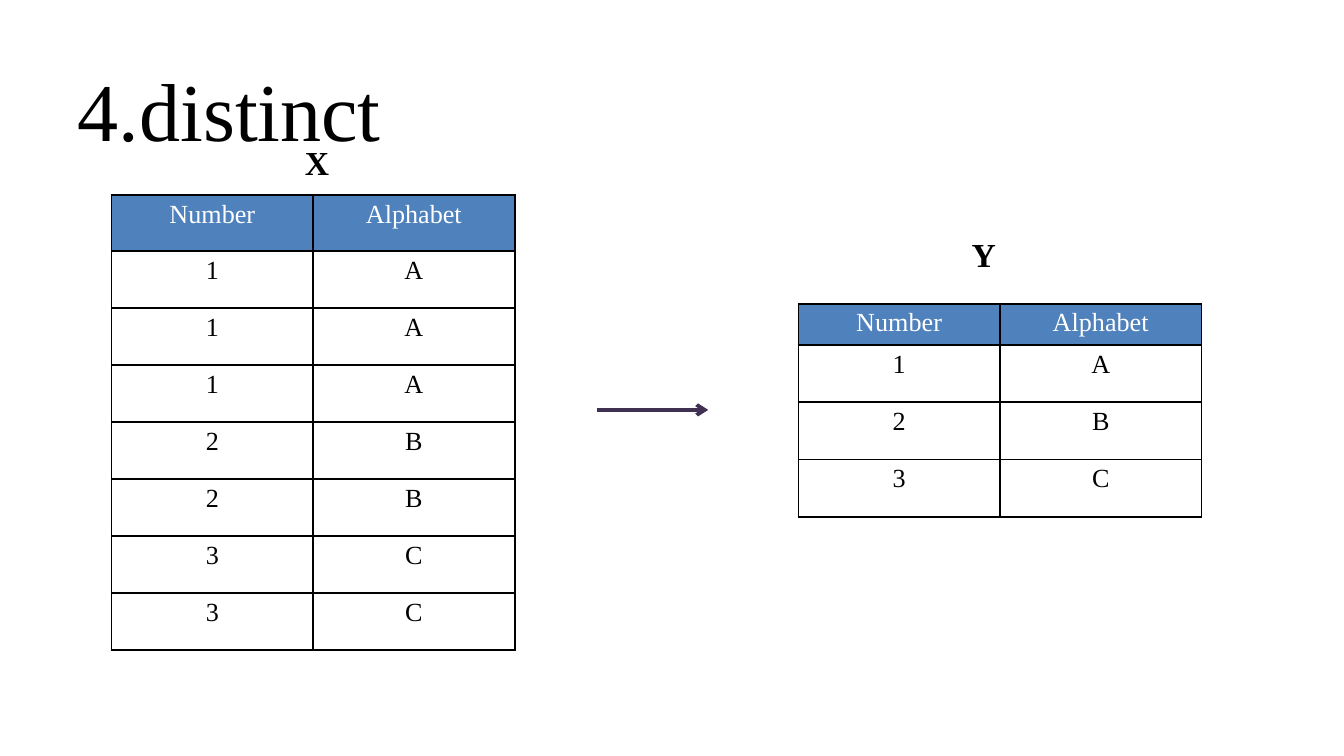
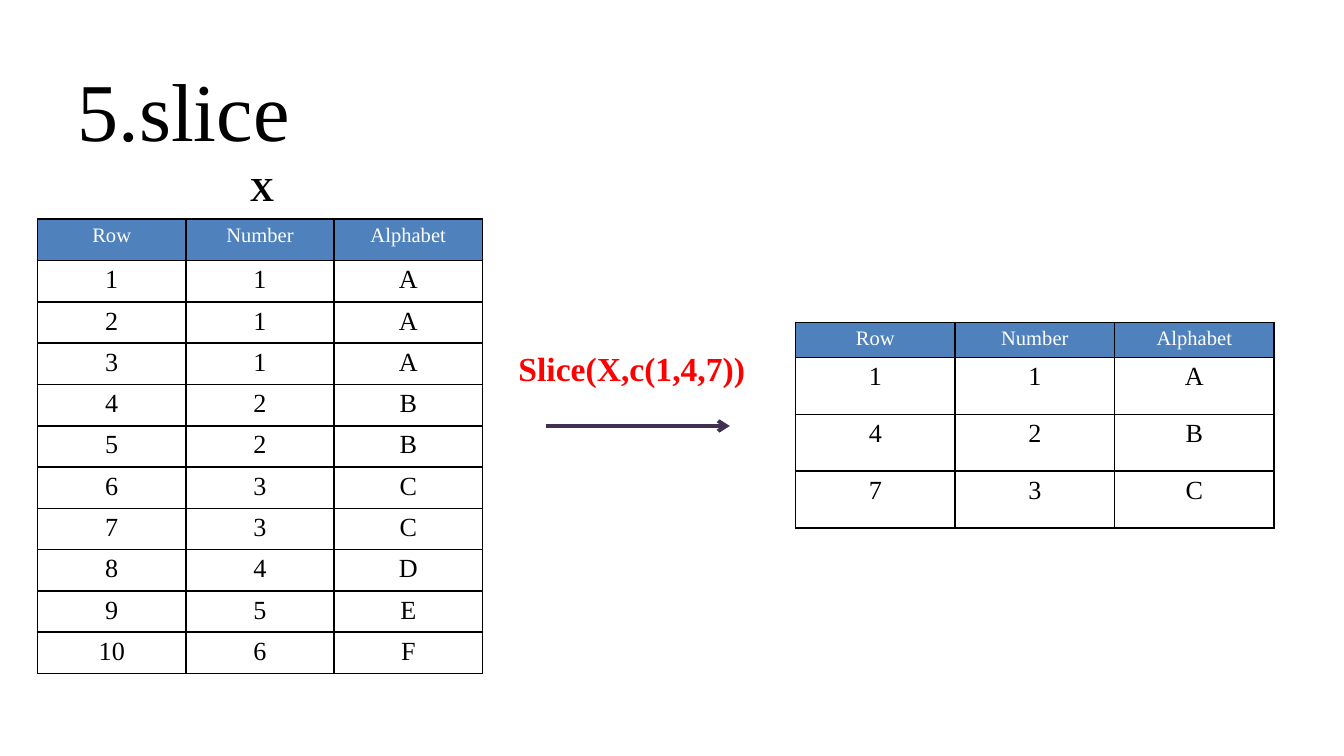
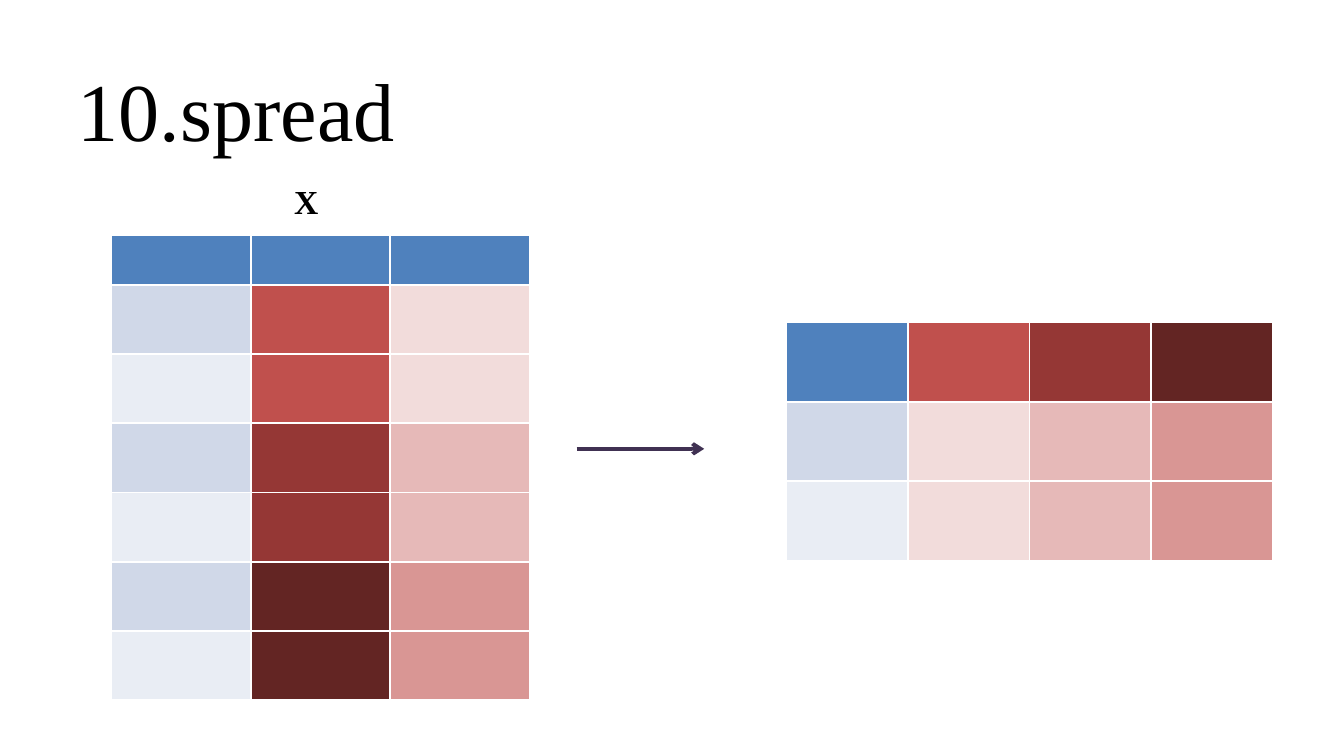
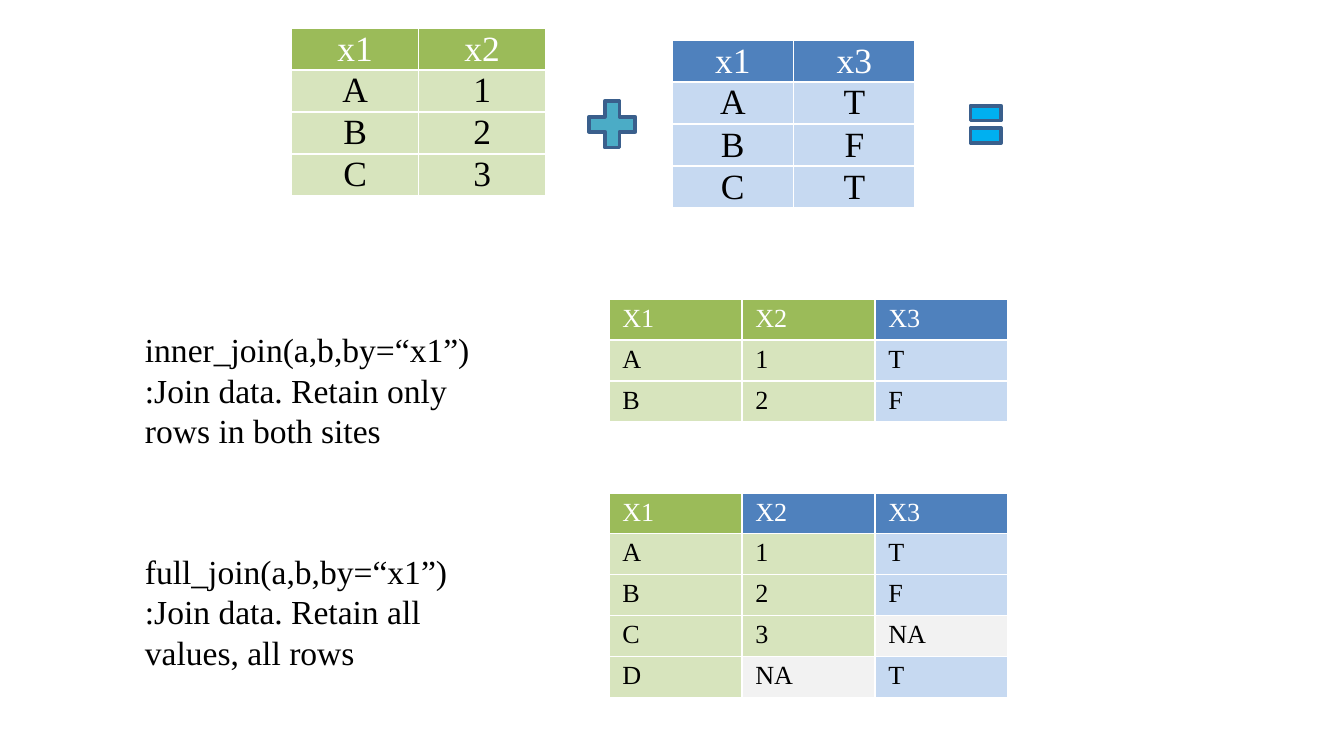
from dataclasses import dataclass

from lxml.etree import SubElement
from pptx import Presentation
from pptx.dml.color import RGBColor
from pptx.enum.shapes import MSO_CONNECTOR, MSO_SHAPE
from pptx.enum.text import MSO_ANCHOR as Anchor, PP_ALIGN as Align
from pptx.oxml.ns import qn
from pptx.util import Inches, Pt

FONT = "Times New Roman"
CELL_INSET = 0.11 / 3
COLOURS = {
    "black": "000000", "white": "FFFFFF", "red": "FF0000", "arrow": "403152",
    "blue": "4F81BD", "sky": "C6D9F1", "band1": "D0D8E8", "band2": "E9EDF4",
    "green": "9BBB59", "lime": "D7E4BD", "missing": "F2F2F2",
    "red1": "C0504D", "red2": "953735", "red3": "632523",
    "pink1": "F2DCDB", "pink2": "E6B9B8", "pink3": "D99694",
    "plus": "4BACC6", "equal": "00B0F0", "outline": "3A5F8C",
}


@dataclass
class Grid:
    """A table; each string in rows and fills lists one row, split at spaces."""
    left: float
    top: float
    width: float
    height: float
    header_height: float
    fills: list[str]
    rows: list[str] | None = None
    header_size: int = 14
    size: int = 14
    border: str = "white"
    align: Align = Align.CENTER
    anchor: Anchor = Anchor.TOP
    inset: float = CELL_INSET


@dataclass
class Label:
    left: float
    top: float
    width: float
    height: float
    lines: list[str]
    size: int = 18
    colour: str = "black"
    bold: bool = True
    align: Align = Align.LEFT


@dataclass
class Arrow:
    start: float
    end: float
    top: float


@dataclass
class Sign:
    kind: MSO_SHAPE
    left: float
    width: float
    fill: str


def rgb(name: str) -> RGBColor:
    return RGBColor.from_string(COLOURS[name])


def style_runs(para, size: int, colour: str, bold: bool = False) -> None:
    for run in para.runs:
        run.font.name = FONT
        run.font.size = Pt(size)
        run.font.bold = bold
        run.font.color.rgb = rgb(colour)


def add_borders(cell, colour: str) -> None:
    properties = cell._tc.get_or_add_tcPr()
    for side in "LRTB":
        line = SubElement(properties, qn(f"a:ln{side}"), w=str(Pt(1)))
        solid = SubElement(line, qn("a:solidFill"))
        SubElement(solid, qn("a:srgbClr"), val=COLOURS[colour])


def add_grid(page, grid: Grid) -> None:
    fills = [row.split() for row in grid.fills]
    row_count, column_count = len(fills), len(fills[0])
    table = page.shapes.add_table(
        row_count, column_count, Inches(grid.left), Inches(grid.top),
        Inches(grid.width), Inches(grid.height)).table
    table.first_row = table.horz_banding = False
    for column in table.columns:
        column.width = Inches(grid.width / column_count)
    body_height = (grid.height - grid.header_height) / (row_count - 1)
    for r, row in enumerate(table.rows):
        is_header = r == 0
        row.height = Inches(grid.header_height if is_header else body_height)
        words = grid.rows[r].split() if grid.rows else []
        for c, cell in enumerate(row.cells):
            add_borders(cell, grid.border)
            if fills[r][c] == "none":
                cell.fill.background()
            else:
                cell.fill.solid()
                cell.fill.fore_color.rgb = rgb(fills[r][c])
            cell.margin_top = cell.margin_bottom = Inches(grid.inset)
            cell.vertical_anchor = grid.anchor
            if words:
                cell.text_frame.text = words[c]
                para = cell.text_frame.paragraphs[0]
                para.alignment = grid.align
                style_runs(para, grid.header_size if is_header else grid.size,
                           "white" if is_header else "black")


def add_label(page, label: Label) -> None:
    box = page.shapes.add_textbox(Inches(label.left), Inches(label.top),
                                  Inches(label.width), Inches(label.height))
    frame = box.text_frame
    frame.word_wrap = True
    frame.text = "\n".join(label.lines)
    for para in frame.paragraphs:
        para.alignment = label.align
        style_runs(para, label.size, label.colour, label.bold)


def add_arrow(page, arrow: Arrow) -> None:
    connector = page.shapes.add_connector(
        MSO_CONNECTOR.STRAIGHT, Inches(arrow.start), Inches(arrow.top),
        Inches(arrow.end), Inches(arrow.top))
    connector.line.color.rgb = rgb("arrow")
    connector.line.width = Pt(2)
    SubElement(connector.line._get_or_add_ln(), qn("a:tailEnd"), type="arrow")
    SubElement(connector._element.spPr, qn("a:effectLst"))


def add_sign(page, sign: Sign) -> None:
    shape = page.shapes.add_shape(sign.kind, Inches(sign.left), Inches(0.69),
                                  Inches(sign.width), Inches(0.47))
    shape.shadow.inherit = False
    shape.fill.solid()
    shape.fill.fore_color.rgb = rgb(sign.fill)
    shape.line.color.rgb = rgb("outline")
    shape.line.width = Pt(2)


def title(text: str) -> Label:
    return Label(0.48, 0.39, 9, 0.71, [text], size=44, bold=False)


def data_grid(left: float, top: float, width: float, height: float,
              header_height: float, rows: list[str], header_size: int = 14) -> Grid:
    """A black-ruled table with a blue header and an unfilled body."""
    columns = len(rows[0].split())
    fills = ["blue " * columns] + ["none " * columns] * (len(rows) - 1)
    return Grid(left, top, width, height, header_height, fills, rows,
                header_size, border="black")


def source_grid(left: float, top: float, width: float, header: str, body: str,
                rows: list[str]) -> Grid:
    """One of the two tables that are joined."""
    fills = [f"{header} {header}"] + [f"{body} {body}"] * (len(rows) - 1)
    return Grid(left, top, width, 1.25, 0.31, fills, rows, 19, 19,
                anchor=Anchor.MIDDLE, inset=0)


def joined_grid(top: float, height: float, fills: list[str], rows: list[str]) -> Grid:
    return Grid(4.53, top, 2.97, height, 0.3, fills, rows, align=Align.LEFT)


def join_label(top: float, lines: list[str]) -> Label:
    return Label(0.98, top, 2.76, 1.01, lines, bold=False)


DISTINCT = [
    title("4.distinct"),
    data_grid(0.83, 1.45, 3, 3.39, 0.42,
              ["Number Alphabet", "1 A", "1 A", "1 A", "2 B", "2 B", "3 C", "3 C"]),
    data_grid(5.94, 2.26, 3, 1.58, 0.3, ["Number Alphabet", "1 A", "2 B", "3 C"]),
    Arrow(4.44, 5.27, 3.05),
    Label(2.17, 1.01, 0.79, 0.4, ["X"]),
    Label(6.81, 1.69, 1.02, 0.4, ["Y"], align=Align.CENTER),
]
SLICE = [
    title("5.slice"),
    data_grid(0.28, 1.63, 3.31, 3.37, 0.31,
              ["Row Number Alphabet", "1 1 A", "2 1 A", "3 1 A", "4 2 B", "5 2 B",
               "6 3 C", "7 3 C", "8 4 D", "9 5 E", "10 6 F"], 11),
    Arrow(4.06, 5.43, 3.17),
    data_grid(5.92, 2.4, 3.56, 1.53, 0.26,
              ["Row Number Alphabet", "1 1 A", "4 2 B", "7 3 C"], 11),
    Label(3.76, 2.54, 1.97, 0.4, ["Slice(X,c(1,4,7))"], colour="red"),
    Label(1.76, 1.2, 0.79, 0.4, ["X"]),
]
SPREAD = [
    title("10.spread"),
    Grid(5.85, 2.4, 3.62, 1.77, 0.59,
         ["blue red1 red2 red3"] + [f"{band} pink1 pink2 pink3"
                                    for band in ("band1", "band2")]),
    Arrow(4.29, 5.24, 3.34),
    Grid(0.83, 1.75, 3.11, 3.46, 0.37,
         ["blue blue blue"] + [f"{band} red{key} pink{key}" for key in (1, 2, 3)
                               for band in ("band1", "band2")], inset=0),
    Label(2.09, 1.3, 0.79, 0.4, ["X"]),
]
JOIN = [
    joined_grid(2.23, 0.91, ["green green blue"] + ["lime lime sky"] * 2,
                ["X1 X2 X3", "A 1 T", "B 2 F"]),
    joined_grid(3.67, 1.52,
                ["green blue blue", "lime lime sky", "lime lime sky",
                 "lime lime missing", "lime missing sky"],
                ["X1 X2 X3", "A 1 T", "B 2 F", "C 3 NA", "D NA T"]),
    source_grid(2.17, 0.21, 1.89, "green", "lime", ["x1 x2", "A 1", "B 2", "C 3"]),
    source_grid(5, 0.3, 1.81, "blue", "sky", ["x1 x3", "A T", "B F", "C T"]),
    join_label(2.4, ["inner_join(a,b,by=“x1”)",
                     ":Join data. Retain only rows in both sites"]),
    join_label(4.05, ["full_join(a,b,by=“x1”)",
                      ":Join data. Retain all values, all rows"]),
    Sign(MSO_SHAPE.MATH_PLUS, 4.32, 0.47, "plus"),
    Sign(MSO_SHAPE.MATH_EQUAL, 7.18, 0.31, "equal"),
]
DRAW = {Grid: add_grid, Label: add_label, Arrow: add_arrow, Sign: add_sign}


def main() -> None:
    deck = Presentation()
    deck.slide_width = Inches(10)
    deck.slide_height = Inches(10 * 9 / 16)
    for elements in (DISTINCT, SLICE, SPREAD, JOIN):
        page = deck.slides.add_slide(deck.slide_layouts[6])
        for element in elements:
            DRAW[type(element)](page, element)
    deck.save("out.pptx")


if __name__ == "__main__":
    main()
